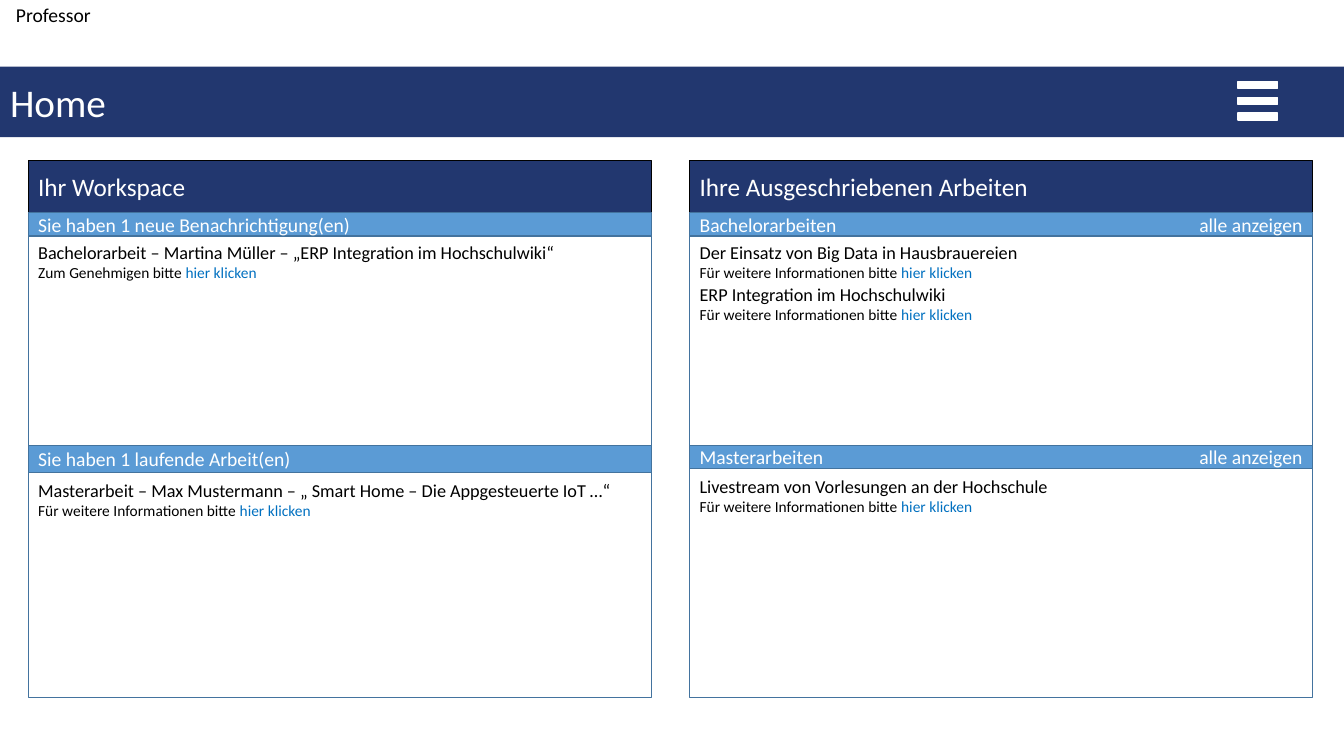
from lxml.etree import SubElement
from pptx import Presentation
from pptx.dml.color import RGBColor
from pptx.enum.shapes import MSO_SHAPE
from pptx.enum.text import MSO_ANCHOR, MSO_AUTO_SIZE, PP_ALIGN
from pptx.oxml.ns import qn
from pptx.util import Inches, Pt

HEX = {"navy": "22376F", "band": "5B9BD5", "edge": "43739E",
       "link": "0070C0", "white": "FFFFFF", "black": "000000"}
FONT = "Calibri"
ROLE, TITLE = "Professor", "Home"
MORE, LINK, ALL = "Für weitere Informationen bitte ", "hier klicken", "alle anzeigen"

# panel: heading, sections; section: band text, band height, entries
PANELS = [
    ("Ihr Workspace", [
        ("Sie haben 1 neue Benachrichtigung(en)", 0.23, [
            ("Bachelorarbeit – Martina Müller – „ERP Integration im Hochschulwiki“",
             "Zum Genehmigen bitte ")]),
        ("Sie haben 1 laufende Arbeit(en)", 0.27, [
            ("Masterarbeit – Max Mustermann – „ Smart Home – Die Appgesteuerte IoT …“",
             MORE)]),
    ]),
    ("Ihre Ausgeschriebenen Arbeiten", [
        ("Bachelorarbeiten\t" + ALL, 0.23, [
            ("Der Einsatz von Big Data in Hausbrauereien", MORE),
            ("ERP Integration im Hochschulwiki", MORE)]),
        ("Masterarbeiten\t" + ALL, 0.23, [
            ("Livestream von Vorlesungen an der Hochschule", MORE)]),
    ]),
]

WIDE, HIGH = 13.33, 7.5
LEFT, STEP, COL = 0.28, 6.56, 6.18       # panel columns
TOP, HEAD = 1.59, 0.52                   # panel heading
EDGES = [2.11, 4.42, 6.92]               # section tops and panel foot
ENTRY, PITCH = 0.5, 0.42                 # entry height and distance
BAR_X, BAR_Y, BAR_W, BAR_H, BAR_GAP = 12.28, 0.81, 0.39, 0.07, 0.155


def color(name):
    return RGBColor.from_string(HEX[name])


def style(run, size, tint):
    run.font.size, run.font.name = Pt(size), FONT
    run.font.color.rgb = color(tint)


def place(shape, x, y, w, h):
    shape.left, shape.top = Inches(x), Inches(y)
    shape.width, shape.height = Inches(w), Inches(h)


def label(shape, text, size):
    """Left-aligned white text, with a right tab stop where a tab is used."""
    frame = shape.text_frame
    frame.text = text
    frame.word_wrap = True
    frame.auto_size = MSO_AUTO_SIZE.NONE
    frame.vertical_anchor = MSO_ANCHOR.MIDDLE
    para = frame.paragraphs[0]
    para.alignment = PP_ALIGN.LEFT
    style(para.runs[0], size, "white")
    if "\t" in text:
        tabs = SubElement(para._p.get_or_add_pPr(), qn("a:tabLst"))
        SubElement(tabs, qn("a:tab"), pos=str(Inches(COL - 0.2)), algn="r")


def box(shapes, x, y, w, h, fill, line=None):
    shape = shapes.add_shape(MSO_SHAPE.RECTANGLE, Inches(x), Inches(y),
                             Inches(w), Inches(h))
    shape.shadow.inherit = False
    shape.fill.solid()
    shape.fill.fore_color.rgb = color(fill)
    if line:
        shape.line.color.rgb = color(line)
        shape.line.width = Pt(1)
    else:
        shape.line.fill.background()
    return shape


def note(shapes, x, y, w, h):
    frame = shapes.add_textbox(Inches(x), Inches(y), Inches(w), Inches(h)).text_frame
    frame.word_wrap = True
    frame.auto_size = MSO_AUTO_SIZE.SHAPE_TO_FIT_TEXT
    return frame


def entry(shapes, x, y, title, lead):
    frame = note(shapes, x, y, COL, ENTRY)
    frame.text = title
    style(frame.paragraphs[0].runs[0], 13, "black")
    para = frame.add_paragraph()
    for text, tint in ((lead, "black"), (LINK, "link")):
        run = para.add_run()
        run.text = text
        style(run, 11, tint)


def header(slide):
    title = slide.shapes.title
    place(title, 0, 0.66, WIDE, 0.7)
    title.fill.solid()
    title.fill.fore_color.rgb = color("navy")
    label(title, TITLE, 28)
    menu = slide.shapes.add_group_shape().shapes
    box(menu, 12.27, 0.8, 0.41, 0.41, "navy")
    for i in range(3):
        box(menu, BAR_X, BAR_Y + i * BAR_GAP, BAR_W, BAR_H, "white", "white")
    frame = note(slide.shapes, 0.06, -0.02, 1.43, 0.34)
    frame.text = ROLE
    style(frame.paragraphs[0].runs[0], 14, "black")


def panel(shapes, x, heading, sections):
    label(box(shapes, x, TOP, COL, HEAD, "navy", "black"), heading, 18)
    for i, (name, band, entries) in enumerate(sections):
        top, foot = EDGES[i], EDGES[i + 1]
        body = top + band
        box(shapes, x, body, COL, foot - body, "white", "edge")
        label(box(shapes, x, top, COL, band, "band", "edge"), name, 14)
        for j, (title, lead) in enumerate(entries):
            entry(shapes, x, body + 0.02 * i + j * PITCH, title, lead)


def main():
    deck = Presentation()
    deck.slide_width, deck.slide_height = Inches(WIDE), Inches(HIGH)
    slide = deck.slides.add_slide(deck.slide_layouts[5])
    header(slide)
    for i, (heading, sections) in enumerate(PANELS):
        panel(slide.shapes, LEFT + i * STEP, heading, sections)
    deck.save("out.pptx")


if __name__ == "__main__":
    main()
